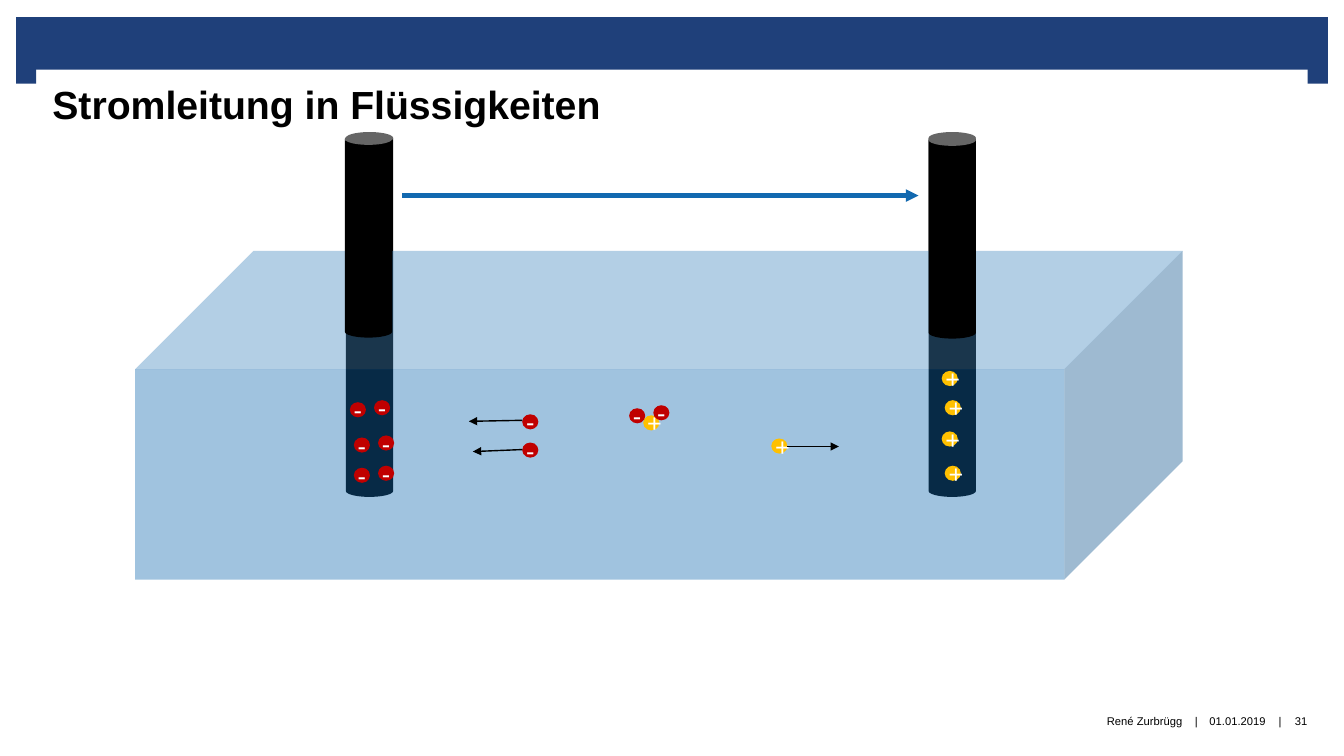
import pptx
import pptx.util
import pptx.dml.color
import pptx.enum.shapes
import pptx.enum.text
import pptx.oxml
import pptx.oxml.ns

Inches = pptx.util.Inches
Pt = pptx.util.Pt
SHAPE = pptx.enum.shapes.MSO_SHAPE
ALIGN = pptx.enum.text.PP_ALIGN
ANCHOR = pptx.enum.text.MSO_ANCHOR

NAVY, BLUE, BLACK, WHITE = "1F407A", "1269B0", "000000", "FFFFFF"
RED, YELLOW = "C00000", "FFC000"

deck = pptx.Presentation()
deck.slide_width = Inches(13.33)
deck.slide_height = Inches(7.5)
page = deck.slides.add_slide(deck.slide_layouts[5])


def add_solid(kind, left, top, width, height, color):
    """Add a preset shape with a plain fill, no outline and no shadow."""
    solid = page.shapes.add_shape(
        kind, Inches(left), Inches(top), Inches(width), Inches(height))
    solid.shadow.inherit = False
    solid.fill.solid()
    solid.fill.fore_color.rgb = pptx.dml.color.RGBColor.from_string(color)
    solid.line.fill.background()
    return solid


def write_text(frame, text, size, color, align, anchor):
    frame.text = text
    frame.vertical_anchor = anchor
    para = frame.paragraphs[0]
    para.alignment = align
    font = para.runs[0].font
    font.name = "Arial"
    font.size = Pt(size)
    font.color.rgb = pptx.dml.color.RGBColor.from_string(color)
    return font


# Header band
for left, top, width, height in [
        (0.16, 0.17, 13.01, 0.52), (0.16, 0.65, 0.2, 0.18), (12.97, 0.65, 0.2, 0.18)]:
    add_solid(SHAPE.RECTANGLE, left, top, width, height, NAVY)

# Title
title = page.shapes.title
title.left, title.top = Inches(0.36), Inches(0.68)
title.width, title.height = Inches(12.62), Inches(0.6)
frame = title.text_frame
frame.auto_size = pptx.enum.text.MSO_AUTO_SIZE.NONE
frame.margin_left = frame.margin_right = Inches(0.16)
frame.margin_top, frame.margin_bottom = Inches(0.12), 0
write_text(frame, "Stromleitung in Flüssigkeiten", 28, BLACK,
           ALIGN.LEFT, ANCHOR.TOP).bold = True

# Footer
for text, left, width, align in [
        ("René Zurbrügg", 6.66, 5.07, ALIGN.RIGHT),
        ("|", 11.79, 0.15, ALIGN.CENTER),
        ("01.01.2019", 11.94, 0.67, ALIGN.CENTER),
        ("|", 12.62, 0.15, ALIGN.CENTER),
        ("31", 12.71, 0.39, ALIGN.CENTER)]:
    box = page.shapes.add_textbox(Inches(left), Inches(6.9), Inches(width), Inches(0.5))
    frame = box.text_frame
    frame.margin_left = frame.margin_right = 0
    frame.margin_top = frame.margin_bottom = 0
    frame.word_wrap = False
    write_text(frame, text, 8, BLACK, align, ANCHOR.MIDDLE)

# Electrodes and the translucent liquid around them
for left in (3.43, 9.21):
    add_solid(SHAPE.CAN, left, 1.31, 0.47, 3.62, BLACK)

liquid = add_solid(SHAPE.CUBE, 1.34, 2.49, 10.39, 3.26, BLUE)
liquid.adjustments[0] = 0.36
fill_color = liquid.fill._xPr.find(".//" + pptx.oxml.ns.qn("a:srgbClr"))
alpha = pptx.oxml.parse_xml("<a:alpha %s val='40000'/>" % pptx.oxml.ns.nsdecls("a"))
fill_color.append(alpha)

# Ions: the molecule, those at each electrode, then the moving ones
ions = [
    ("+", 6.38, 4.12), ("-", 6.24, 4.05), ("-", 6.48, 4.02),
    ("-", 3.51, 4.64), ("-", 3.75, 4.62), ("-", 3.51, 4.34),
    ("-", 3.75, 4.32), ("-", 3.47, 3.99), ("-", 3.71, 3.97),
    ("+", 9.37, 4.62), ("+", 9.34, 4.28), ("+", 9.37, 3.97), ("+", 9.34, 3.68),
    ("-", 5.18, 4.11), ("-", 5.18, 4.39), ("+", 7.65, 4.35),
]
for sign, left, top in ions:
    ion = add_solid(SHAPE.OVAL, left, top, 0.16, 0.15, YELLOW if sign == "+" else RED)
    write_text(ion.text_frame, sign, 18, WHITE, ALIGN.CENTER, ANCHOR.MIDDLE)

# Arrows: ion movement and current
for x1, y1, x2, y2, color, weight in [
        (7.81, 4.43, 8.32, 4.43, BLACK, 1),
        (5.18, 4.17, 4.65, 4.18, BLACK, 1),
        (5.18, 4.46, 4.69, 4.48, BLACK, 1),
        (3.99, 1.94, 9.11, 1.94, BLUE, 3)]:
    arrow = page.shapes.add_connector(
        pptx.enum.shapes.MSO_CONNECTOR.STRAIGHT,
        Inches(x1), Inches(y1), Inches(x2), Inches(y2))
    arrow.line.color.rgb = pptx.dml.color.RGBColor.from_string(color)
    arrow.line.width = Pt(weight)
    arrow.line._get_or_add_ln().append(pptx.oxml.parse_xml(
        "<a:tailEnd %s type='triangle'/>" % pptx.oxml.ns.nsdecls("a")))
    arrow._element.spPr.append(pptx.oxml.parse_xml(
        "<a:effectLst %s/>" % pptx.oxml.ns.nsdecls("a")))

# Dry upper parts of the electrodes
for left, top in [(9.21, 1.33), (3.42, 1.32)]:
    add_solid(SHAPE.CAN, left, top, 0.47, 2.03, BLACK)

deck.save("out.pptx")
